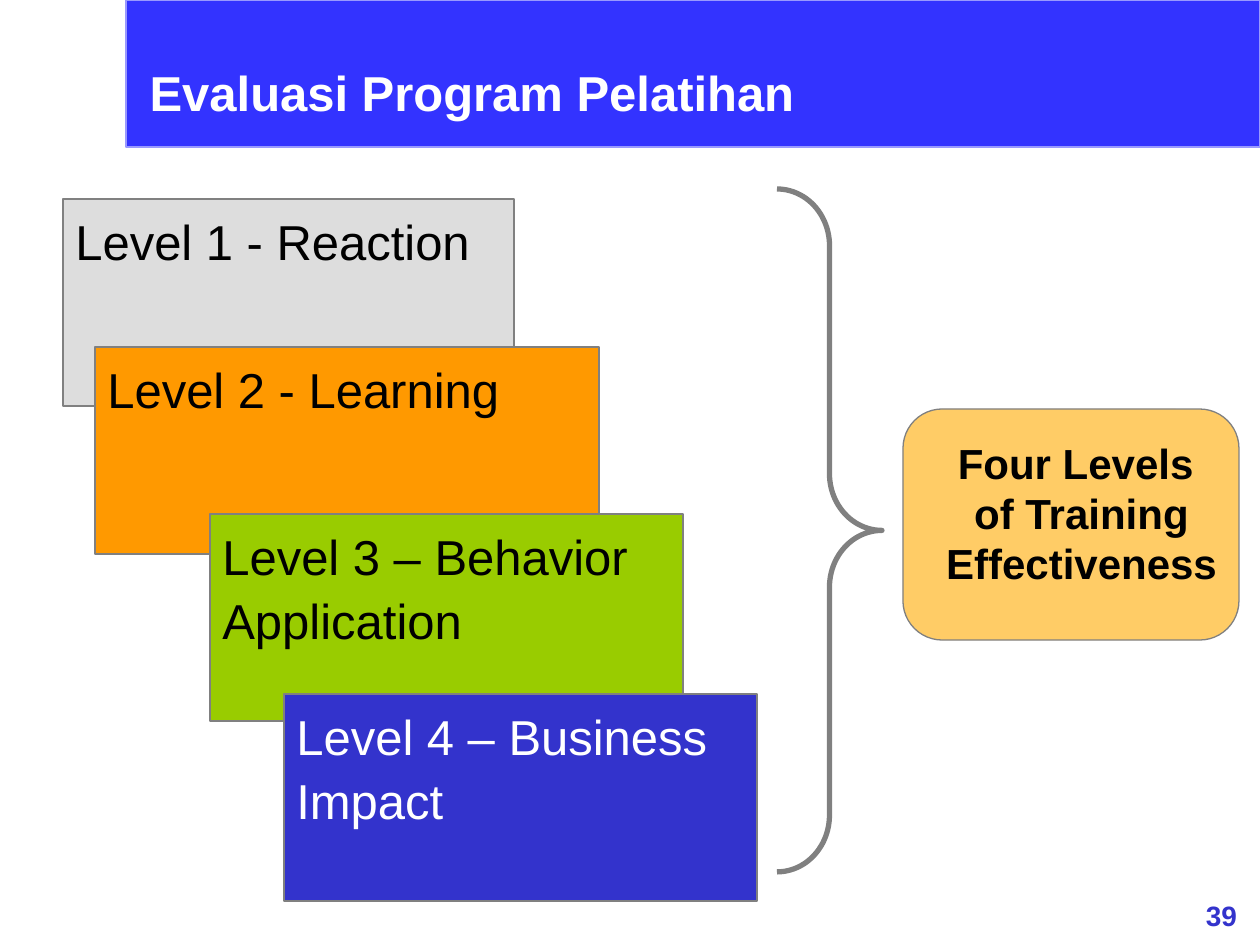
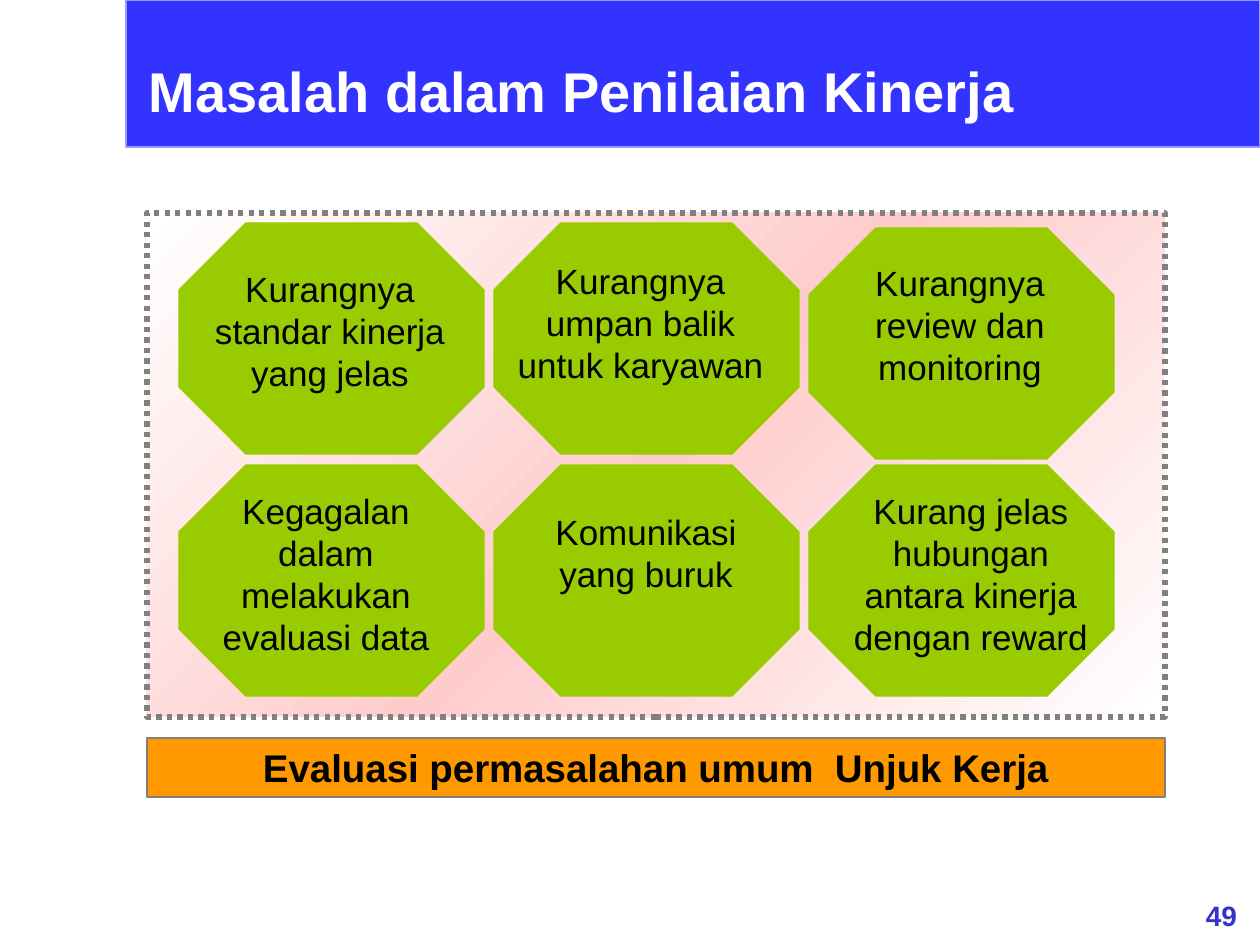
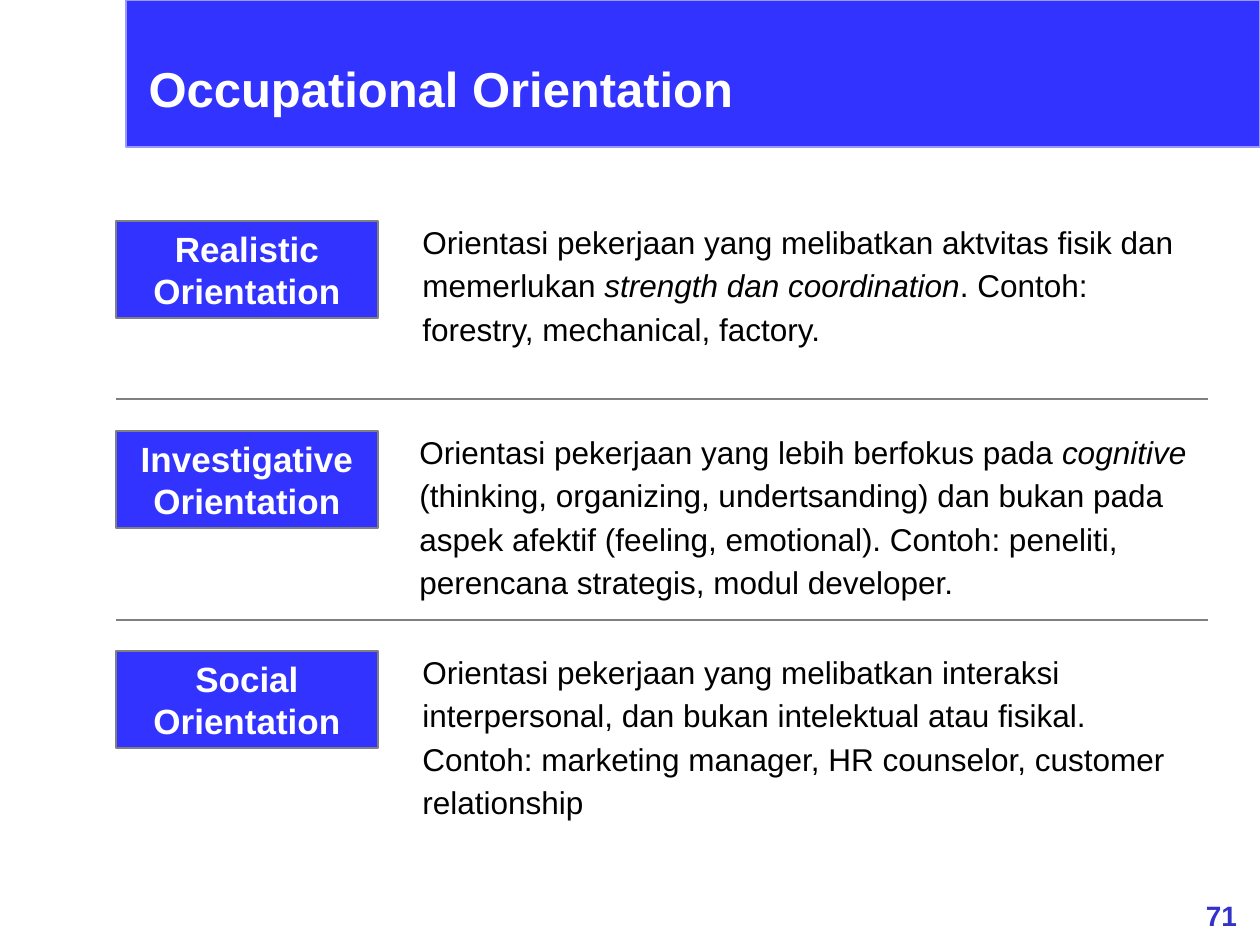
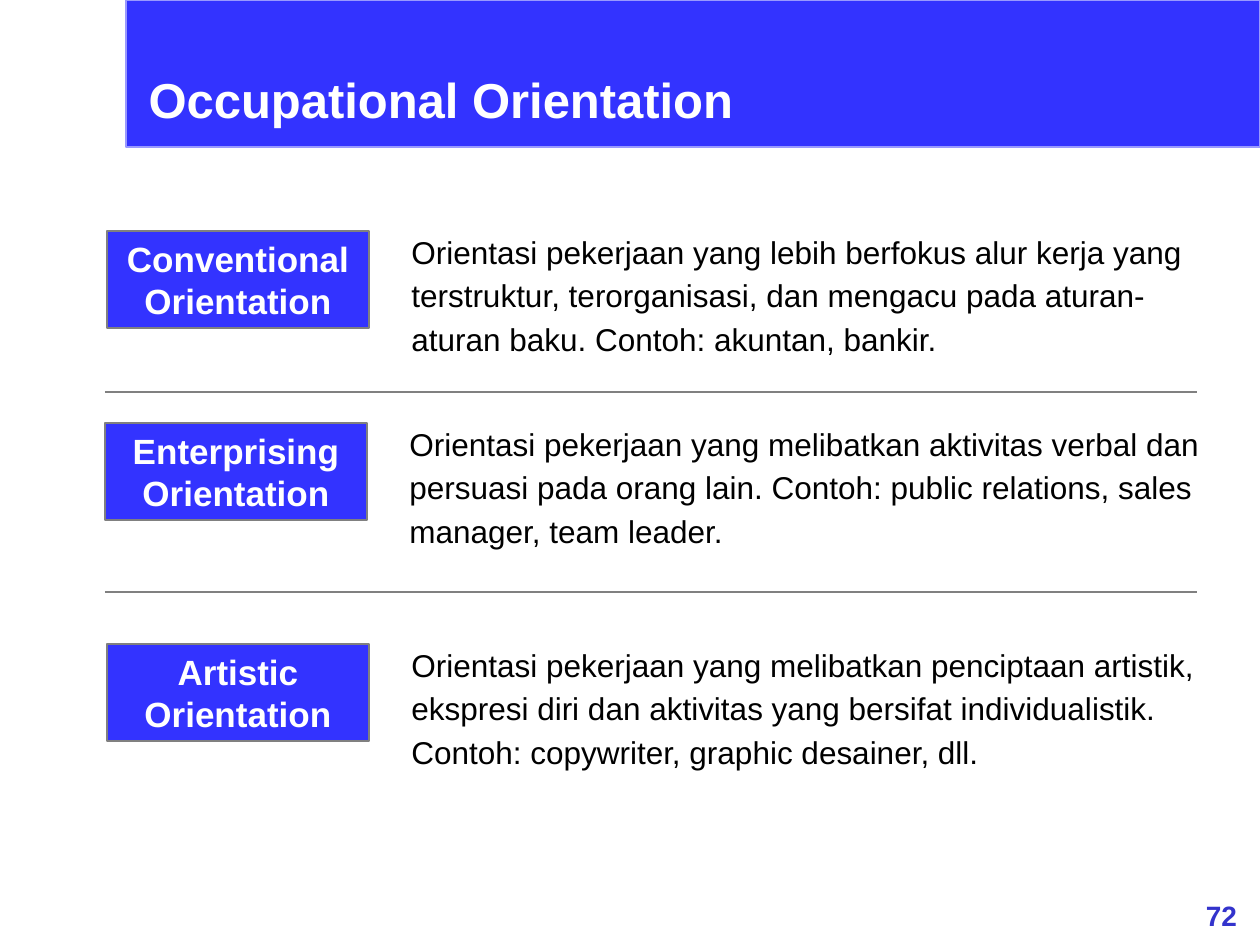
from copy import deepcopy

from pptx import Presentation
from pptx.dml.color import RGBColor
from pptx.enum.dml import MSO_LINE
from pptx.enum.shapes import MSO_CONNECTOR, MSO_SHAPE
from pptx.enum.text import MSO_ANCHOR, MSO_AUTO_SIZE, PP_ALIGN
from pptx.oxml.ns import qn
from pptx.oxml.xmlchemy import OxmlElement
from pptx.util import Emu, Pt

# Shared style
EMU_PER_PX = 914400 / 126
WIDTH, HEIGHT = 1260, 945
FONT = "Arial"
TITLE_ONLY = 5

BLACK = RGBColor(0x00, 0x00, 0x00)
WHITE = RGBColor(0xFF, 0xFF, 0xFF)
BLUE = RGBColor(0x33, 0x33, 0xFF)
DARK_BLUE = RGBColor(0x33, 0x33, 0xCC)
PALE_BLUE = RGBColor(0x99, 0x99, 0xFF)
GREY = RGBColor(0x80, 0x80, 0x80)
LIGHT_GREY = RGBColor(0xDD, 0xDD, 0xDD)
ORANGE = RGBColor(0xFF, 0x99, 0x00)
LIGHT_ORANGE = RGBColor(0xFF, 0xCC, 0x66)
GREEN = RGBColor(0x99, 0xCC, 0x00)
PINK = RGBColor(0xFF, 0xCC, 0xCC)


def px(*values):
    return [Emu(round(v * EMU_PER_PX)) for v in values]


def write(tf, text, size=20, color=BLACK, bold=False, align=PP_ALIGN.LEFT,
          spacing=1.0, anchor=MSO_ANCHOR.TOP):
    """Fill a text frame; lines are paragraphs, *stars* mark italics."""
    tf.auto_size = MSO_AUTO_SIZE.NONE
    tf.word_wrap = True
    tf.vertical_anchor = anchor
    for i, line in enumerate(text.split("\n")):
        p = tf.add_paragraph() if i else tf.paragraphs[0]
        p.alignment = align
        p.line_spacing = spacing
        for j, part in enumerate(line.split("*")):
            r = p.add_run()
            r.text = part
            font = r.font
            font.name, font.size, font.bold = FONT, Pt(size), bold
            font.italic = j % 2 == 1
            font.color.rgb = color


def add_box(slide, kind, box, fill=None, line=GREY, weight=0.75, adj=None):
    sp = slide.shapes.add_shape(kind, *px(*box))
    sp.shadow.inherit = False
    if fill is None:
        sp.fill.background()
    else:
        sp.fill.solid()
        sp.fill.fore_color.rgb = fill
    sp.line.color.rgb = line
    sp.line.width = Pt(weight)
    if adj is not None:
        sp.adjustments[0] = adj
    return sp


def add_text(slide, box, text, **fmt):
    write(slide.shapes.add_textbox(*px(*box)).text_frame, text, **fmt)


def add_rule(slide, left, right, y):
    line = slide.shapes.add_connector(MSO_CONNECTOR.STRAIGHT, *px(left, y, right, y))
    line.line.color.rgb = GREY
    line.line.width = Pt(0.75)
    line._element.spPr.append(OxmlElement("a:effectLst"))


def fill_diagonal(sp, colors):
    """Evenly spaced gradient from the top left to the bottom right."""
    sp.fill.gradient()
    sp.fill.gradient_angle = 315
    stops = sp._element.spPr.find(".//" + qn("a:gsLst"))
    while len(stops) < len(colors):
        stops.append(deepcopy(stops[0]))
    for i, (stop, color) in enumerate(zip(sp.fill.gradient_stops, colors)):
        stop.position = i / (len(colors) - 1)
        stop.color.rgb = color


def new_slide(prs, title, box, number, **fmt):
    slide = prs.slides.add_slide(prs.slide_layouts[TITLE_ONLY])
    # The band goes behind the title
    band = add_box(slide, MSO_SHAPE.RECTANGLE, (126, 0, 1134, 147), BLUE, PALE_BLUE)
    slide.shapes._spTree.insert(2, band._element)
    sp = slide.shapes.title
    sp.left, sp.top, sp.width, sp.height = px(*box)
    write(sp.text_frame, title, **{"size": 28, "color": WHITE, "bold": True, **fmt})
    add_text(slide, (1183, 892, 77, 47), str(number), size=16, color=DARK_BLUE,
             bold=True, align=PP_ALIGN.CENTER)
    return slide


def training_levels(prs):
    slide = new_slide(prs, "Evaluasi Program Pelatihan", (137, 56, 987, 72), 39)
    add_box(slide, MSO_SHAPE.ROUNDED_RECTANGLE, (903, 409, 336, 231), LIGHT_ORANGE, adj=0.17)
    # Overlapping steps
    levels = [
        (63, 199, 451, LIGHT_GREY, BLACK, "Level 1 - Reaction"),
        (95, 347, 504, ORANGE, BLACK, "Level 2 - Learning"),
        (210, 514, 473, GREEN, BLACK, "Level 3 – Behavior Application"),
        (284, 694, 473, DARK_BLUE, WHITE, "Level 4 – Business Impact"),
    ]
    for x, y, w, fill, color, text in levels:
        sp = add_box(slide, MSO_SHAPE.RECTANGLE, (x, y, w, 207), fill)
        write(sp.text_frame, text, size=28, color=color, spacing=1.1)
    # Summary
    add_text(slide, (924, 431, 315, 164), "Four Levels \nof Training Effectiveness",
             size=24, bold=True, align=PP_ALIGN.CENTER)
    add_box(slide, MSO_SHAPE.RIGHT_BRACE, (777, 189, 105, 683), weight=3, adj=0.54)


def appraisal_problems(prs):
    slide = new_slide(prs, "Masalah dalam Penilaian Kinerja", (136, 32, 1040, 116), 49,
                      size=32, anchor=MSO_ANCHOR.MIDDLE)
    panel = add_box(slide, MSO_SHAPE.RECTANGLE, (147, 213, 1018, 504), PINK, weight=3)
    panel.line.dash_style = MSO_LINE.ROUND_DOT
    fill_diagonal(panel, [WHITE, PINK, WHITE])
    # Octagons in a grid, the last of the top row a little lower
    for row_tops in [(223, 223, 228), (465, 465, 465)]:
        for col, top in enumerate(row_tops):
            add_box(slide, MSO_SHAPE.OCTAGON, (179 + 315 * col, top, 305, 231),
                    GREEN, GREEN, adj=0.29)
    problems = [
        (199, 261, 262, 139, "Kurangnya standar kinerja yang jelas"),
        (504, 253, 273, 139, "Kurangnya umpan balik untuk karyawan"),
        (829, 255, 262, 139, "Kurangnya review dan monitoring"),
        (179, 483, 294, 181, "Kegagalan dalam melakukan evaluasi data"),
        (504, 504, 284, 97, "Komunikasi yang buruk"),
        (840, 483, 262, 181, "Kurang jelas hubungan antara kinerja dengan reward"),
    ]
    for *box, text in problems:
        add_text(slide, box, text, align=PP_ALIGN.CENTER)
    caption = add_box(slide, MSO_SHAPE.RECTANGLE, (147, 738, 1018, 59), ORANGE)
    write(caption.text_frame, "Evaluasi permasalahan umum  Unjuk Kerja", size=22,
          bold=True, align=PP_ALIGN.CENTER)


def orientations(prs, title_top, number, rows, rules, left):
    slide = new_slide(prs, "Occupational Orientation", (136, title_top, 987, 72), number)
    for x, y, text_x, text_w, name, text in rows:
        label = add_box(slide, MSO_SHAPE.RECTANGLE, (x, y, 262, 97), BLUE)
        write(label.text_frame, name + " Orientation", color=WHITE, bold=True,
              align=PP_ALIGN.CENTER)
        add_text(slide, (text_x, y - 10, text_w, 187), text, size=18, spacing=1.15)
    for y in rules:
        add_rule(slide, left, left + 1092, y)


def main():
    prs = Presentation()
    prs.slide_width, prs.slide_height = px(WIDTH, HEIGHT)
    training_levels(prs)
    appraisal_problems(prs)
    orientations(prs, 52, 71, [
        (116, 221, 410, 779, "Realistic",
         "Orientasi pekerjaan yang melibatkan aktvitas fisik dan memerlukan "
         "*strength dan coordination*. Contoh: forestry, mechanical, factory."),
        (116, 431, 407, 822, "Investigative",
         "Orientasi pekerjaan yang lebih berfokus pada *cognitive* (thinking, "
         "organizing, undertsanding) dan bukan pada aspek afektif (feeling, "
         "emotional). Contoh: peneliti, perencana strategis, modul developer."),
        (116, 651, 410, 779, "Social",
         "Orientasi pekerjaan yang melibatkan interaksi interpersonal, dan bukan "
         "intelektual atau fisikal. Contoh: marketing manager, HR counselor, "
         "customer relationship"),
    ], rules=(399, 620), left=116)
    orientations(prs, 63, 72, [
        (107, 231, 399, 822, "Conventional",
         "Orientasi pekerjaan yang lebih berfokus alur kerja yang terstruktur, "
         "terorganisasi, dan mengacu pada aturan-aturan baku. Contoh: akuntan, bankir."),
        (105, 423, 397, 822, "Enterprising",
         "Orientasi pekerjaan yang melibatkan aktivitas verbal dan persuasi pada "
         "orang lain. Contoh: public relations, sales manager, team leader."),
        (107, 644, 399, 822, "Artistic",
         "Orientasi pekerjaan yang melibatkan penciptaan artistik, ekspresi diri dan "
         "aktivitas yang bersifat individualistik. Contoh: copywriter, graphic "
         "desainer, dll."),
    ], rules=(392, 592), left=105)
    prs.save("out.pptx")


if __name__ == "__main__":
    main()
